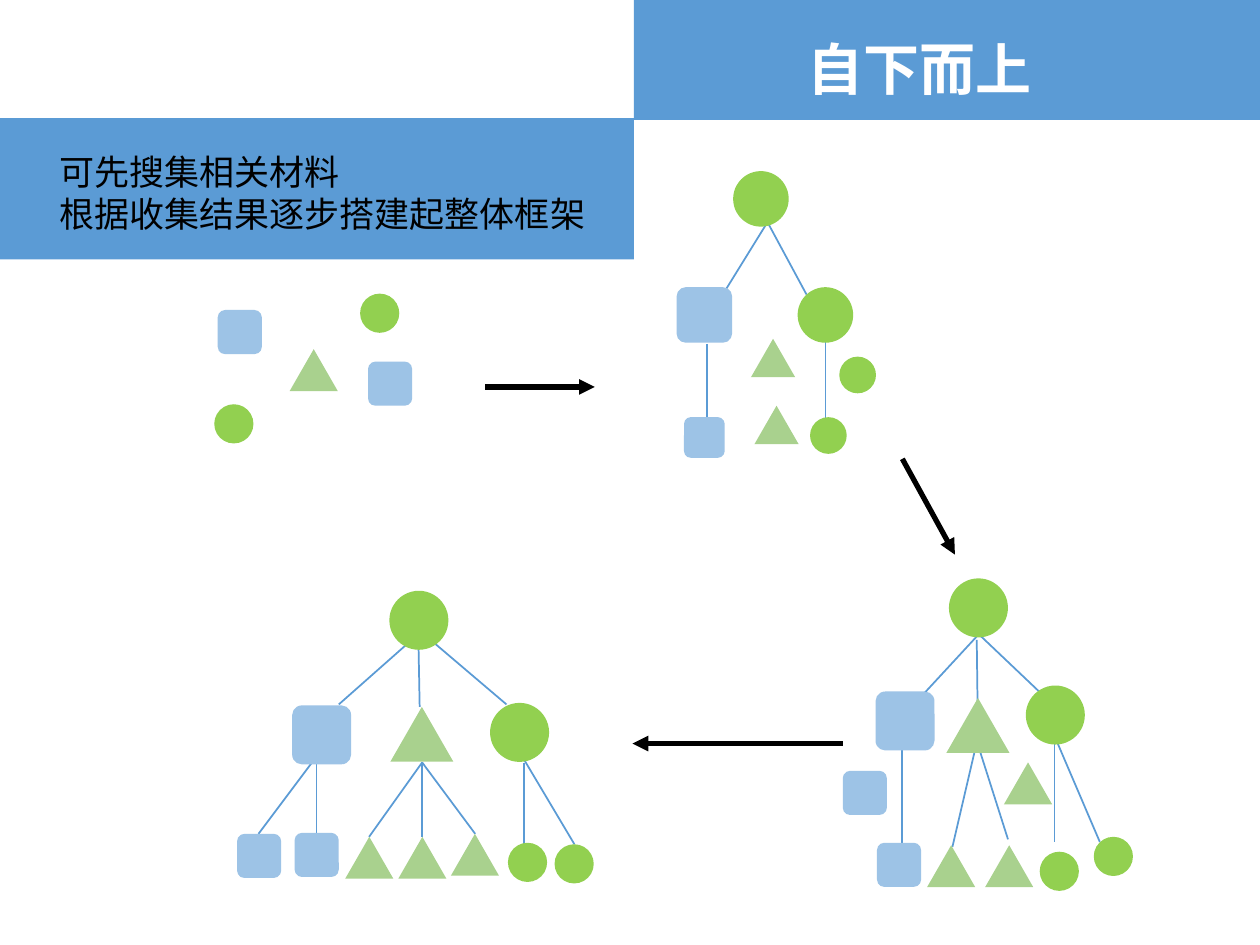
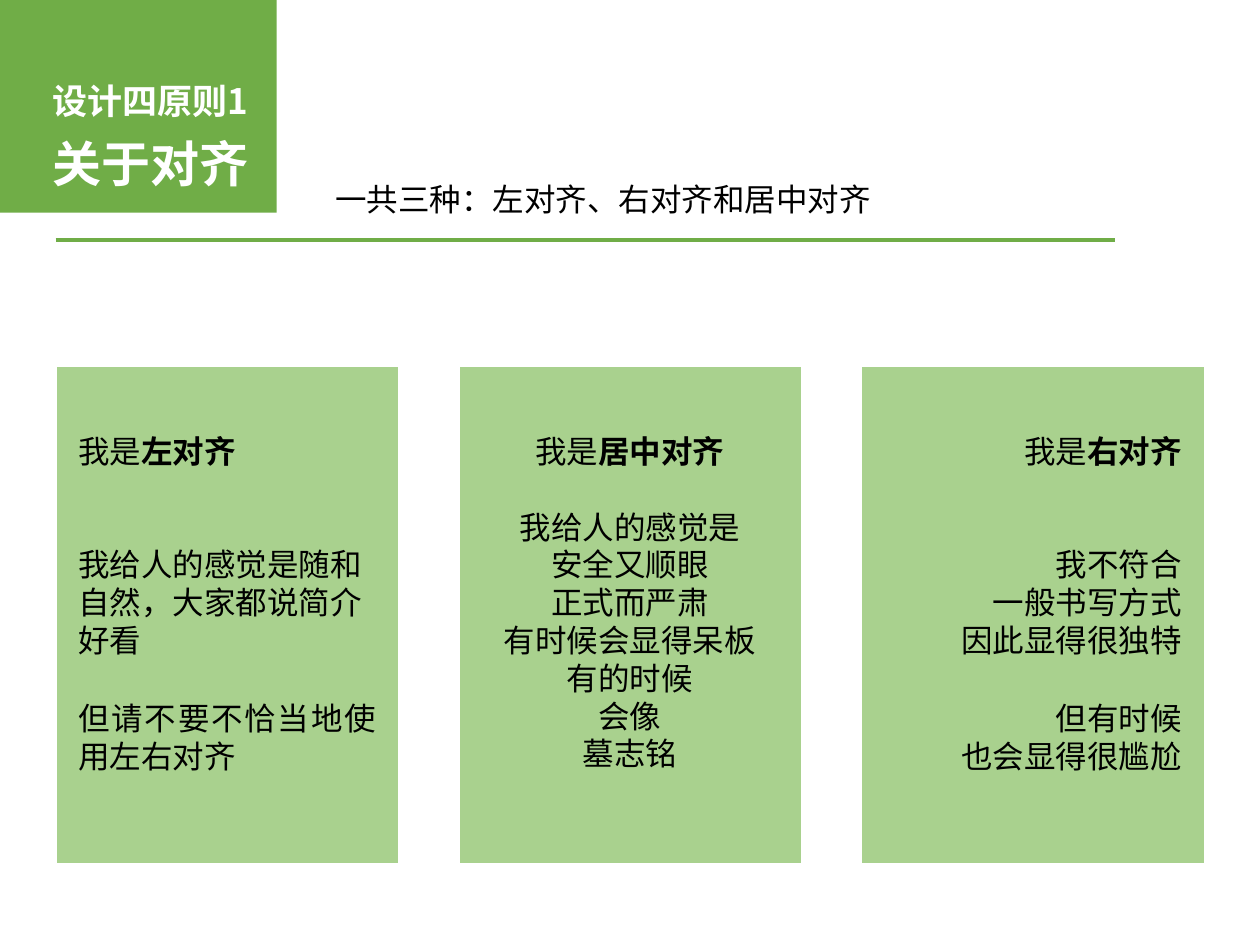
from dataclasses import dataclass
from typing import Any, NamedTuple

from lxml import etree
from pptx import Presentation
from pptx import util as u
from pptx.dml import color
from pptx.enum import lang, shapes, text
from pptx.oxml import ns

KINDS = shapes.MSO_SHAPE
ALIGN = text.PP_ALIGN


@dataclass(frozen=True)
class Theme:
    blue: str = "5B9BD5"
    pale_blue: str = "9DC3E6"
    green: str = "70AD47"
    pale_green: str = "A9D18E"
    lime: str = "92D050"
    white: str = "FFFFFF"
    black: str = "000000"
    latin: str = "Calibri"
    chinese: str = "Noto Sans CJK SC"
    banner: int = 32
    title: int = 28
    lead: int = 20
    body: int = 18
    branch: float = 1
    card_edge: float = 1.5
    rule: float = 2.25
    arrow: float = 3


THEME = Theme()


class Area(NamedTuple):
    left: float
    top: float
    width: float
    height: float


class Link(NamedTuple):
    x1: float
    y1: float
    x2: float
    y2: float


class Span(NamedTuple):
    words: str
    bold: bool = False
    font: str = THEME.latin


class Para(NamedTuple):
    spans: list[Span]
    before: float = 0


class Look(NamedTuple):
    size: int
    colour: str = THEME.black
    align: Any = ALIGN.LEFT


class NodeStyle(NamedTuple):
    kind: Any
    colour: str
    ratio: float = 1


class Nodes(NamedTuple):
    style: NodeStyle
    size: float
    corners: list[tuple[float, float]]


class Tree(NamedTuple):
    links: list[Link]
    nodes: list[Nodes]


class Card(NamedTuple):
    align: Any
    name: str
    gap: float
    feeling: list[str]
    warning: list[str]
    warning_align: Any = None


CIRCLE = NodeStyle(KINDS.OVAL, THEME.lime)
SQUARE = NodeStyle(KINDS.ROUNDED_RECTANGLE, THEME.pale_blue)
TRIANGLE = NodeStyle(KINDS.ISOSCELES_TRIANGLE, THEME.pale_green, 0.87)

SCATTERED = Tree([], [
    Nodes(CIRCLE, 0.79, [(7.26, 5.92), (4.32, 8.15)]),
    Nodes(SQUARE, 0.89, [(7.42, 7.29), (4.39, 6.25)]),
    Nodes(TRIANGLE, 0.97, [(5.84, 7.04)]),
])
SPROUTING = Tree([
    Link(15.57, 4.32, 14.5, 6.05), Link(15.37, 4.29, 16.26, 5.94),
    Link(14.25, 6.93, 14.25, 8.81), Link(16.64, 6.68, 16.64, 8.59),
], [
    Nodes(CIRCLE, 1.12, [(14.78, 3.45), (16.08, 5.79)]),
    Nodes(SQUARE, 1.12, [(13.64, 5.79)]),
    Nodes(SQUARE, 0.82, [(13.79, 8.41)]),
    Nodes(TRIANGLE, 0.89, [(15.14, 6.83), (15.21, 8.18)]),
    Nodes(CIRCLE, 0.74, [(16.33, 8.41), (16.92, 7.19)]),
])
GROWING = Tree([
    Link(19.81, 12.7, 18.59, 14.02), Link(19.69, 12.9, 19.71, 14.5),
    Link(19.61, 12.67, 21.01, 14), Link(18.19, 15.11, 18.19, 17.15),
    Link(19.71, 14.88, 19.2, 17.07), Link(19.76, 15.16, 20.32, 16.92),
    Link(21.26, 14.96, 21.26, 16.97), Link(21.31, 14.96, 22.17, 16.97),
], [
    Nodes(CIRCLE, 1.19, [(19.13, 11.66), (20.68, 13.82)]),
    Nodes(SQUARE, 1.19, [(17.65, 13.94)]),
    Nodes(TRIANGLE, 1.27, [(19.08, 14.07)]),
    Nodes(SQUARE, 0.89, [(16.99, 15.54), (17.68, 16.99)]),
    Nodes(TRIANGLE, 0.97, [(18.69, 17.04), (19.86, 17.04), (20.24, 15.37)]),
    Nodes(CIRCLE, 0.79, [(20.96, 17.17), (22.05, 16.87)]),
])
COMPLETE = Tree([
    Link(8.56, 12.67, 6.83, 14.2), Link(8.43, 12.65, 8.46, 14.25),
    Link(8.41, 12.67, 10.21, 14.2), Link(6.35, 15.29, 5.21, 16.81),
    Link(6.38, 15.39, 6.38, 16.79), Link(8.51, 15.37, 7.44, 16.87),
    Link(8.51, 15.37, 8.51, 16.87), Link(8.51, 15.37, 9.58, 16.81),
    Link(10.57, 15.39, 10.57, 17.02), Link(10.54, 15.27, 11.58, 17.02),
], [
    Nodes(CIRCLE, 1.19, [(7.85, 11.91), (9.88, 14.17)]),
    Nodes(SQUARE, 1.19, [(5.89, 14.22)]),
    Nodes(TRIANGLE, 1.27, [(7.87, 14.25)]),
    Nodes(SQUARE, 0.89, [(4.78, 16.81), (5.94, 16.79)]),
    Nodes(TRIANGLE, 0.97, [(6.96, 16.87), (8.03, 16.87), (9.09, 16.81)]),
    Nodes(CIRCLE, 0.79, [(10.24, 16.99), (11.18, 17.02)]),
])
STAGE_ARROWS = [
    Link(9.78, 7.8, 11.99, 7.8),
    Link(18.19, 9.25, 19.25, 11.18),
    Link(16.99, 14.99, 12.75, 14.99),
]

CARDS = [
    Card(ALIGN.LEFT, "左对齐", 43, ["我给人的感觉是随和自然，大家都说简介好看"],
         ["但请不要不恰当地使用左右对齐"], ALIGN.JUSTIFY),
    Card(ALIGN.CENTER, "居中对齐", 21.5,
         ["我给人的感觉是", "安全又顺眼", "正式而严肃", "有时候会显得呆板",
          "有的时候", "会像", "墓志铭"], []),
    Card(ALIGN.RIGHT, "右对齐", 43, ["我不符合", "一般书写方式", "因此显得很独特"],
         ["但有时候", "也会显得很尴尬"], ALIGN.RIGHT),
]
CARD_LEFT, CARD_PITCH, CARD_INSET = 1.12, 8.12, 0.21


def apply(target: Any, values: dict[str, Any]) -> None:
    for name, value in values.items():
        setattr(target, name, value)


def rgb(value: str) -> color.RGBColor:
    return color.RGBColor.from_string(value)


def lengths(values: tuple[float, ...]) -> list[u.Cm]:
    return [u.Cm(value) for value in values]


def lines(*words: str, bold: bool = False) -> list[Para]:
    return [Para([Span(line, bold)]) for line in words]


def draw_shape(page: Any, kind: Any, area: Area, fill: str, edge: str | None = None) -> None:
    shape = page.shapes.add_shape(kind, *lengths(area))
    shape.shadow.inherit = False
    shape.fill.solid()
    shape.fill.fore_color.rgb = rgb(fill)
    if edge:
        shape.line.color.rgb = rgb(edge)
        shape.line.width = u.Pt(THEME.card_edge)
    else:
        shape.line.fill.background()


def draw_link(page: Any, link: Link, colour: str, width: float, arrow: bool = False) -> None:
    connector = page.shapes.add_connector(shapes.MSO_CONNECTOR.STRAIGHT, *lengths(link))
    connector.line.color.rgb = rgb(colour)
    connector.line.width = u.Pt(width)
    if arrow:
        etree.SubElement(connector.line._get_or_add_ln(), ns.qn("a:tailEnd"), type="triangle")
    etree.SubElement(connector.element.spPr, ns.qn("a:effectLst"))


def draw_tree(page: Any, tree: Tree) -> None:
    for link in tree.links:
        draw_link(page, link, THEME.blue, THEME.branch)
    for style, size, corners in tree.nodes:
        for left, top in corners:
            draw_shape(page, style.kind, Area(left, top, size, size * style.ratio), style.colour)


def write(box: Any, area: Area, paras: list[Para], look: Look) -> None:
    apply(box, dict(zip(("left", "top", "width", "height"), lengths(area))))
    box.element.getparent().append(box.element)
    frame = box.text_frame
    apply(frame, {"word_wrap": True, "auto_size": text.MSO_AUTO_SIZE.NONE,
                  "vertical_anchor": text.MSO_ANCHOR.TOP})
    for index, content in enumerate(paras):
        para = frame.add_paragraph() if index else frame.paragraphs[0]
        properties = para._p.get_or_add_pPr()
        apply_indent = {"marL": "0", "indent": "0"}
        for name, value in apply_indent.items():
            properties.set(name, value)
        etree.SubElement(properties, ns.qn("a:buNone"))
        apply(para, {"alignment": look.align, "line_spacing": 1.0,
                     "space_before": u.Pt(content.before), "space_after": u.Pt(0)})
        for span in content.spans:
            run = para.add_run()
            run.text = span.words
            apply(run.font, {"name": span.font, "size": u.Pt(look.size), "bold": span.bold,
                             "language_id": lang.MSO_LANGUAGE_ID.SIMPLIFIED_CHINESE})
            run.font.color.rgb = rgb(look.colour)


def write_new(page: Any, area: Area, paras: list[Para], look: Look) -> None:
    write(page.shapes.add_textbox(*lengths(area)), area, paras, look)


def add_page(deck: Any) -> Any:
    return deck.slides.add_slide(deck.slide_layouts[1])


def build_bottom_up(deck: Any) -> None:
    page = add_page(deck)
    draw_shape(page, KINDS.RECTANGLE, Area(12.78, 0, 12.62, 2.42), THEME.blue)
    draw_shape(page, KINDS.RECTANGLE, Area(0, 2.38, 12.78, 2.85), THEME.blue)
    write(page.shapes.title, Area(15.01, 0.56, 7.06, 1.63),
          [Para([Span("自下而上", True, THEME.chinese)])],
          Look(THEME.banner, THEME.white, ALIGN.CENTER))
    write(page.placeholders[1], Area(0.94, 2.9, 11.66, 1.96),
          lines("可先搜集相关材料", "根据收集结果逐步搭建起整体框架"), Look(THEME.lead))
    for tree in (SCATTERED, SPROUTING, GROWING, COMPLETE):
        draw_tree(page, tree)
    for link in STAGE_ARROWS:
        draw_link(page, link, THEME.black, THEME.arrow, arrow=True)


def draw_card(page: Any, card: Card, left: float) -> None:
    draw_shape(page, KINDS.RECTANGLE, Area(left, 7.37, 6.93, 10.06),
               THEME.pale_green, THEME.white)
    first, *rest = lines(*card.feeling)
    heading = Para([Span("我是"), Span(card.name, True)])
    write_new(page, Area(left + CARD_INSET, 8.59, 6.5, 4.88 if card.warning else 7.19),
              [heading, first._replace(before=card.gap), *rest],
              Look(THEME.body, align=card.align))
    if card.warning:
        write_new(page, Area(left + CARD_INSET, 13.97, 6.5, 1.8), lines(*card.warning),
                  Look(THEME.body, align=card.warning_align))


def build_alignment(deck: Any) -> None:
    page = add_page(deck)
    draw_shape(page, KINDS.RECTANGLE, Area(0, 0, 5.58, 4.29), THEME.green)
    draw_link(page, Link(1.12, 4.83, 22.48, 4.83), THEME.green, THEME.rule)
    write_new(page, Area(0.81, 1.47, 4.88, 1.12),
              [Para([Span("设计四原则", True), Span("1", True, THEME.chinese)])],
              Look(THEME.lead, THEME.white))
    write(page.shapes.title, Area(0.81, 2.57, 4.88, 1.45),
          lines("关于对齐", bold=True), Look(THEME.title, THEME.white))
    write(page.placeholders[1], Area(6.5, 3.51, 12.42, 1.02),
          lines("一共三种：左对齐、右对齐和居中对齐"), Look(THEME.body))
    for index, card in enumerate(CARDS):
        draw_card(page, card, CARD_LEFT + index * CARD_PITCH)


def main() -> None:
    deck = Presentation()
    apply(deck, {"slide_width": u.Cm(25.4), "slide_height": u.Cm(19.05)})
    build_bottom_up(deck)
    build_alignment(deck)
    deck.save("out.pptx")


if __name__ == "__main__":
    main()
